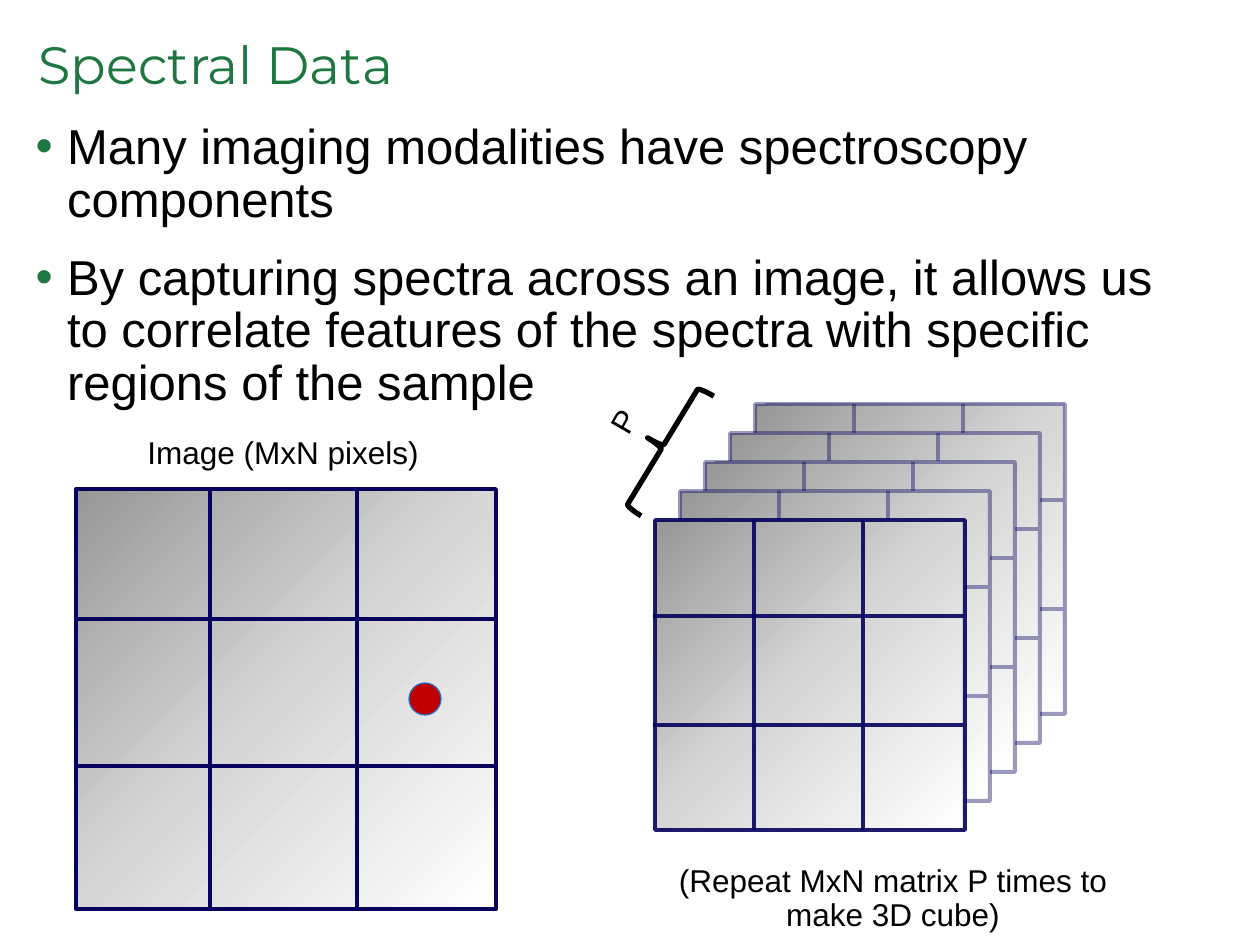
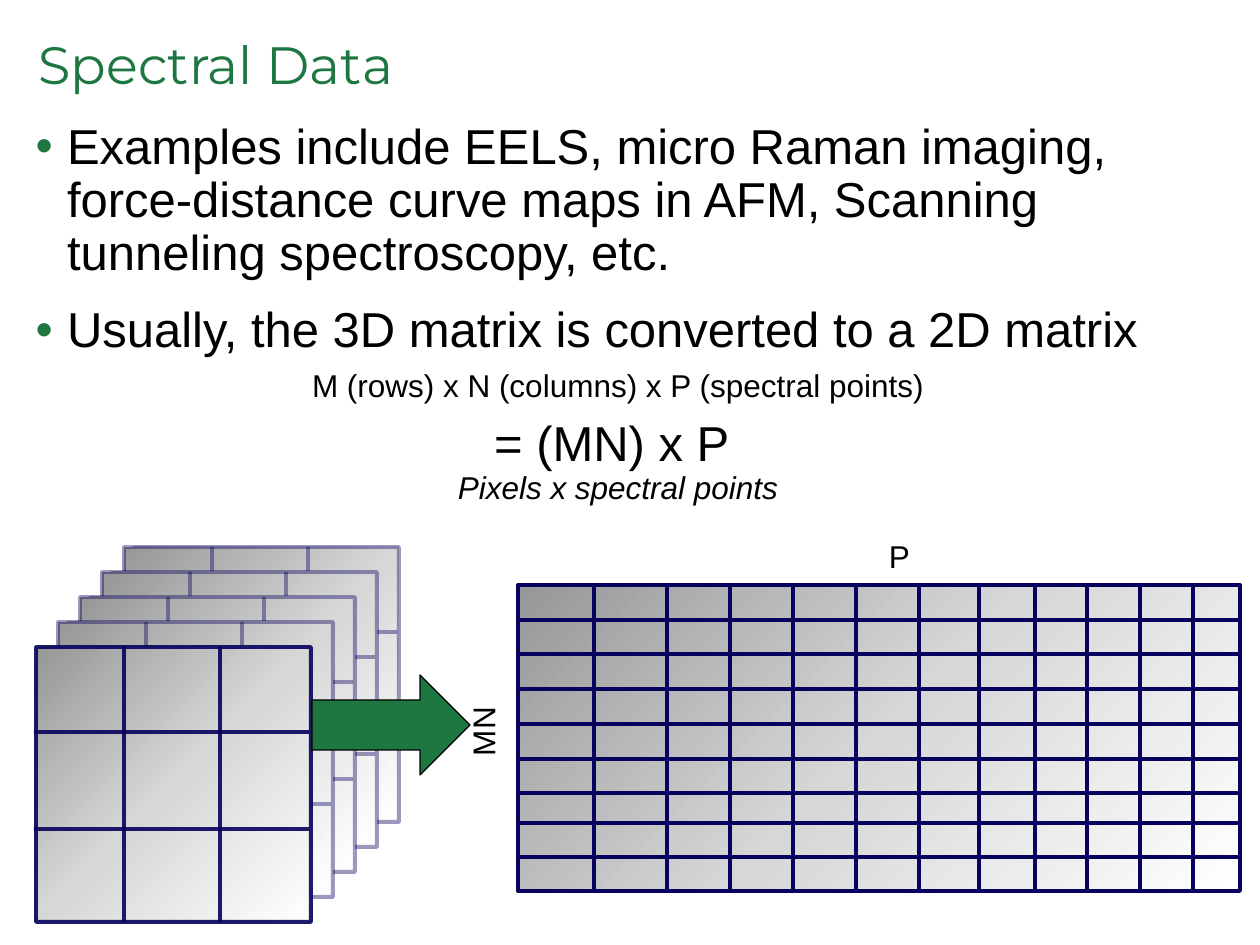
"""Build two slides on how spectral images are stored as cubes and matrices."""
from dataclasses import dataclass
from itertools import accumulate
from typing import NamedTuple

from lxml import etree
from pptx import Presentation
from pptx import util as u
from pptx.dml.color import RGBColor
from pptx.enum import shapes, text
from pptx.oxml import ns

PX_PER_INCH = 126
GREEN, NAVY, BLACK, RED, BLUE = "1E7640", "06025E", "000000", "C00000", "306DBE"
GRADIENT = {0: "979797", 50: "D7D7D7", 100: "FFFFFF"}
THIRDS_ACROSS = (0.32, 0.67)
THIRDS_DOWN = (0.31, 0.66)
OVERHANG = 2
CENTER = {"alignment": text.PP_ALIGN.CENTER, "line_spacing": 0.9}
TITLE_PARAGRAPH = {"alignment": text.PP_ALIGN.LEFT, "line_spacing": 0.85}
BULLET_PARAGRAPH = {"alignment": text.PP_ALIGN.LEFT, "line_spacing": 0.9}
TITLE_FONT = {"name": "Montserrat", "size": u.Pt(30)}
BODY_FONT = {"name": "Arial", "size": u.Pt(28)}
LABEL_FONT = {"name": "Arial", "size": u.Pt(18)}
ITALIC_FONT = LABEL_FONT | {"italic": True}


class Frame(NamedTuple):
    left: int
    top: int
    width: int
    height: int


@dataclass
class Grid:
    frame: Frame
    columns: list[int]
    rows: list[int]
    opacity: int = 100


@dataclass
class Cube:
    left: int
    top: int
    size: int
    step_across: int
    step_up: int
    layers: int = 5


@dataclass
class Label:
    frame: Frame
    lines: list[tuple[str, dict]]
    rotation: int = 0


TITLE_FRAME = Frame(26, 35, 1190, 67)
BODY_FRAME = Frame(23, 116, 1190, 336)


def px(length: float) -> int:
    return round(length * u.Inches(1) / PX_PER_INCH)


def rgb(color: str) -> RGBColor:
    return RGBColor.from_string(color)


def apply(target, values: dict) -> None:
    for name, value in values.items():
        setattr(target, name, value)


def add_element(parent, tag: str, **attributes: str):
    return etree.SubElement(parent, ns.qn(tag), attributes)


def place(shape, frame: Frame) -> None:
    apply(shape, {name: px(value) for name, value in frame._asdict().items()})


def write(paragraph, words: str, layout: dict, font: dict, color: str = BLACK) -> None:
    apply(paragraph, layout)
    run = paragraph.add_run()
    run.text = words
    apply(run.font, font)
    run.font.color.rgb = rgb(color)


def set_line(shape, color: str, points: float, opacity: int = 100) -> None:
    shape.line.color.rgb = rgb(color)
    shape.line.width = u.Pt(points)
    if opacity < 100:
        paint = shape.line._get_or_add_ln().find(".//" + ns.qn("a:srgbClr"))
        add_element(paint, "a:alpha", val=str(opacity * 1000))


def add_preset(slide, kind, frame: Frame, fill: str | None, line: str,
               points: float, opacity: int = 100):
    shape = slide.shapes.add_shape(kind, *map(px, frame))
    shape.shadow.inherit = False
    if fill:
        shape.fill.solid()
        shape.fill.fore_color.rgb = rgb(fill)
    else:
        shape.fill.background()
    set_line(shape, line, points, opacity)
    return shape


def add_gradient(shape) -> None:
    properties = shape._element.spPr
    gradient = etree.Element(ns.qn("a:gradFill"), rotWithShape="1")
    stops = add_element(gradient, "a:gsLst")
    for position, color in GRADIENT.items():
        stop = add_element(stops, "a:gs", pos=str(position * 1000))
        add_element(stop, "a:srgbClr", val=color)
    add_element(gradient, "a:lin", ang="2700000", scaled="0")
    properties.replace(properties.find(ns.qn("a:noFill")), gradient)


def add_rule(slide, start: tuple, end: tuple, opacity: int) -> None:
    rule = slide.shapes.add_connector(shapes.MSO_CONNECTOR.STRAIGHT,
                                      *map(px, start + end))
    set_line(rule, NAVY, 2.25, opacity)
    add_element(rule._element.spPr, "a:effectLst")


def add_grid(slide, grid: Grid) -> None:
    left, top, width, height = grid.frame
    add_gradient(add_preset(slide, shapes.MSO_SHAPE.RECTANGLE, grid.frame, None,
                            NAVY, 2.25, grid.opacity))
    for column in grid.columns:
        add_rule(slide, (left + column, top), (left + column, top + height),
                 grid.opacity)
    for row in grid.rows:
        add_rule(slide, (left - OVERHANG, top + row),
                 (left + width - OVERHANG, top + row), grid.opacity)


def pixel_grid(left: int, top: int, size: int, opacity: int = 100) -> Grid:
    return Grid(Frame(left, top, size, size),
                [round(size * part) for part in THIRDS_ACROSS],
                [round(size * part) for part in THIRDS_DOWN], opacity)


def add_cube(slide, cube: Cube) -> None:
    for depth in reversed(range(cube.layers)):
        add_grid(slide, pixel_grid(cube.left + depth * cube.step_across,
                                   cube.top - depth * cube.step_up,
                                   cube.size, 40 if depth else 90))


def add_label(slide, label: Label) -> None:
    box = slide.shapes.add_textbox(*map(px, label.frame))
    box.rotation = label.rotation
    frame = box.text_frame
    frame.word_wrap = True
    for index, (words, font) in enumerate(label.lines):
        paragraph = frame.add_paragraph() if index else frame.paragraphs[0]
        write(paragraph, words, CENTER, font)


def add_bullet(paragraph) -> None:
    properties = paragraph._p.get_or_add_pPr()
    indent = u.Inches(0.25)
    properties.set("marL", str(indent))
    properties.set("indent", str(-indent))
    add_element(add_element(properties, "a:buClr"), "a:srgbClr", val=GREEN)
    add_element(properties, "a:buFont", typeface="Arial")
    add_element(properties, "a:buChar", char="•")


def add_slide(presentation, bullets: list[str]):
    slide = presentation.slides.add_slide(presentation.slide_layouts[1])
    title, body = slide.shapes.title, slide.placeholders[1]
    for shape, frame in ((title, TITLE_FRAME), (body, BODY_FRAME)):
        place(shape, frame)
        apply(shape.text_frame, {"word_wrap": True,
                                 "auto_size": text.MSO_AUTO_SIZE.NONE})
    write(title.text_frame.paragraphs[0], "Spectral Data", TITLE_PARAGRAPH,
          TITLE_FONT, GREEN)
    for index, words in enumerate(bullets):
        frame = body.text_frame
        paragraph = frame.add_paragraph() if index else frame.paragraphs[0]
        add_bullet(paragraph)
        space = {"space_before": u.Pt(14 if index else 0)}
        write(paragraph, words, BULLET_PARAGRAPH | space, BODY_FONT)
    return slide


def build_cube_slide(presentation) -> None:
    slide = add_slide(presentation, [
        "Many imaging modalities have spectroscopy components",
        "By capturing spectra across an image, it allows us to correlate "
        "features of the spectra with specific regions of the sample"])
    add_grid(slide, pixel_grid(76, 489, 420))
    add_preset(slide, shapes.MSO_SHAPE.OVAL, Frame(409, 683, 32, 32), RED, BLUE, 0.75)
    add_cube(slide, Cube(655, 520, 310, 25, 29))
    brace = add_preset(slide, shapes.MSO_SHAPE.LEFT_BRACE, Frame(645, 377, 35, 140),
                       None, BLACK, 3)
    brace.rotation = 31.3
    for label in (
        Label(Frame(73, 431, 420, 47), [("Image (MxN pixels)", LABEL_FONT)]),
        Label(Frame(653, 859, 480, 82),
              [("(Repeat MxN matrix P times to make 3D cube)", LABEL_FONT)]),
        Label(Frame(415, 399, 420, 47), [("P", LABEL_FONT)], 300),
    ):
        add_label(slide, label)


def build_matrix_slide(presentation) -> None:
    slide = add_slide(presentation, [
        "Examples include EELS, micro Raman imaging, force-distance curve maps "
        "in AFM, Scanning tunneling spectroscopy, etc.",
        "Usually, the 3D matrix is converted to a 2D matrix"])
    add_cube(slide, Cube(36, 647, 275, 22, 25))
    column_widths = [76, 73, 63, 63, 63, 63, 60, 56, 52, 53, 53]
    row_heights = [35, 34, 35, 35, 35, 34, 30, 34]
    add_grid(slide, Grid(Frame(518, 585, 722, 306),
                         list(accumulate(column_widths)),
                         list(accumulate(row_heights))))
    add_preset(slide, shapes.MSO_SHAPE.RIGHT_ARROW, Frame(312, 675, 158, 100),
               GREEN, BLACK, 0.75)
    for label in (
        Label(Frame(282, 364, 672, 47),
              [("M (rows) x N (columns) x P (spectral points)", LABEL_FONT)]),
        Label(Frame(282, 413, 672, 101),
              [("= (MN) x P ", BODY_FONT),
               ("Pixels x spectral points", ITALIC_FONT)]),
        Label(Frame(348, 708, 275, 47), [("MN", LABEL_FONT)], 270),
        Label(Frame(762, 535, 275, 47), [("P", LABEL_FONT)]),
    ):
        add_label(slide, label)


def main() -> None:
    presentation = Presentation()
    apply(presentation, {"slide_width": px(1260), "slide_height": px(945)})
    build_cube_slide(presentation)
    build_matrix_slide(presentation)
    presentation.save("out.pptx")


if __name__ == "__main__":
    main()
